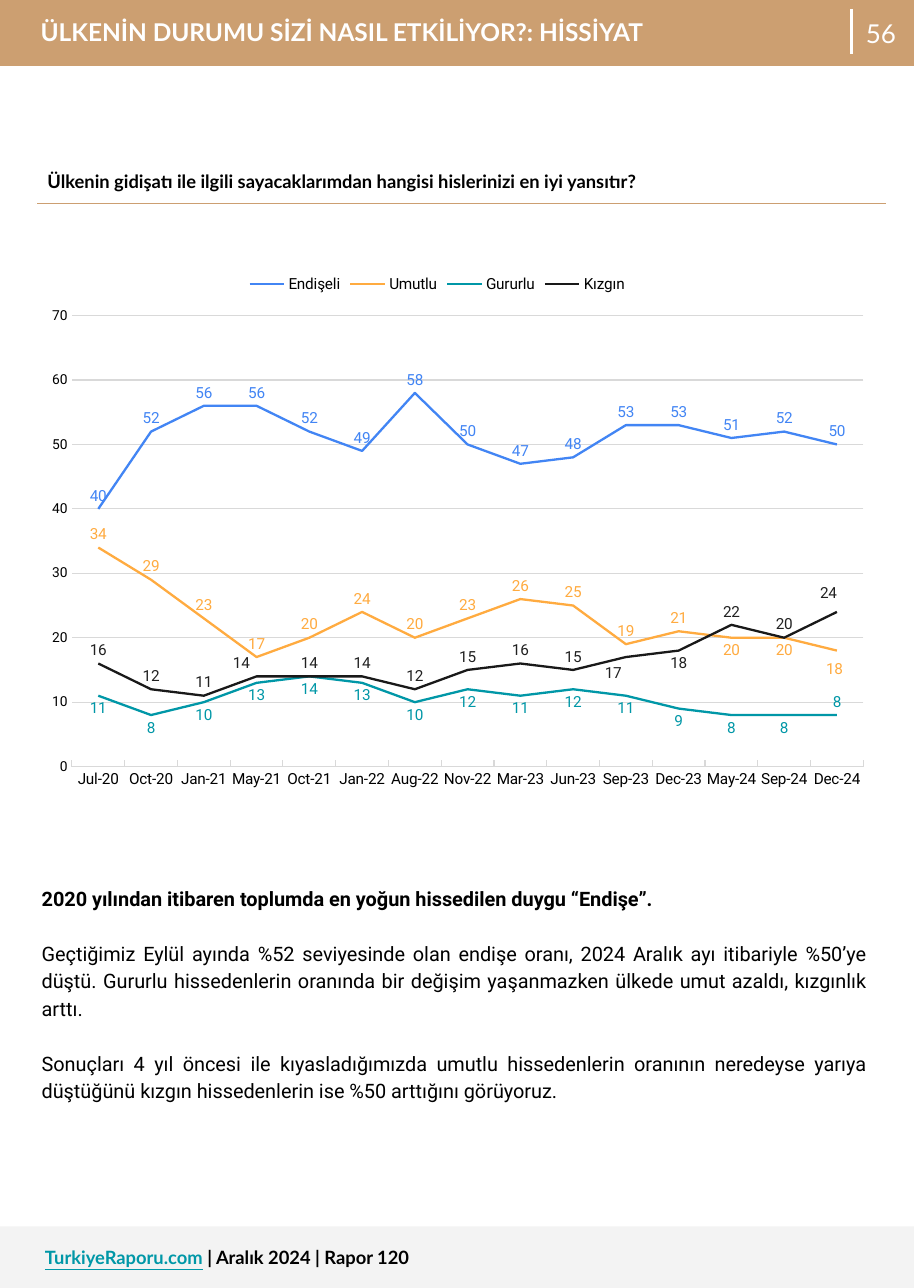
import pptx
import pptx.chart.data
import pptx.dml.color
import pptx.enum.chart
import pptx.enum.shapes
import pptx.enum.text
import pptx.oxml
import pptx.oxml.ns
import pptx.util
from pptx.util import Inches

HUES = {
    "sand": "CC9F71", "pale": "F3F3F3", "white": "FFFFFF", "black": "000000",
    "teal": "0097A7", "red": "EF3B45", "grid": "D9D9D9", "blue": "4285F4",
    "amber": "FFAB40", "coal": "191919", "ink": "212121",
}
ALIGN = pptx.enum.text.PP_ALIGN
SPOT = pptx.enum.chart.XL_LABEL_POSITION
TICK = pptx.enum.chart.XL_TICK_MARK

MONTHS = ["Jul-20", "Oct-20", "Jan-21", "May-21", "Oct-21", "Jan-22", "Aug-22", "Nov-22",
          "Mar-23", "Jun-23", "Sep-23", "Dec-23", "May-24", "Sep-24", "Dec-24"]
MOODS = [
    ("Endişeli", "blue", "blue", SPOT.ABOVE,
     [40, 52, 56, 56, 52, 49, 58, 50, 47, 48, 53, 53, 51, 52, 50], {}),
    ("Umutlu", "amber", "amber", SPOT.ABOVE,
     [34, 29, 23, 17, 20, 24, 20, 23, 26, 25, 19, 21, 20, 20, 18],
     {12: (SPOT.BELOW, 0, 0), 13: (SPOT.BELOW, 0, 0), 14: (SPOT.BELOW, -0.003, 0.01)}),
    ("Gururlu", "teal", "teal", SPOT.BELOW,
     [11, 8, 10, 13, 14, 13, 10, 12, 11, 12, 11, 9, 8, 8, 8],
     {14: (SPOT.ABOVE, 0, 0)}),
    ("Kızgın", "coal", "ink", SPOT.ABOVE,
     [16, 12, 11, 14, 14, 14, 12, 15, 16, 15, 17, 18, 22, 20, 24],
     {3: (SPOT.ABOVE, -0.018, 0), 10: (SPOT.BELOW, -0.015, 0.006),
      11: (SPOT.BELOW, 0, 0), 14: (SPOT.ABOVE, -0.01, -0.01)}),
]


def layout(x, y, w=None, h=None, inner=False, fixed=True):
    ns = pptx.oxml.ns.nsdecls("c")
    parts = '<c:layoutTarget val="inner"/>' if inner else ""
    if fixed:
        parts += '<c:xMode val="edge"/><c:yMode val="edge"/>'
    for tag, val in zip("xywh", (x, y, w, h)):
        if val is not None:
            parts += f'<c:{tag} val="{val}"/>'
    return pptx.oxml.parse_xml(f"<c:layout {ns}><c:manualLayout>{parts}</c:manualLayout></c:layout>")


def place(node, frame, after):
    for old in node.findall(pptx.oxml.ns.qn("c:layout")):
        node.remove(old)
    if after is None:
        node.insert(0, frame)
    else:
        node.find(pptx.oxml.ns.qn(after)).addnext(frame)


class Page:
    def __init__(self, slide, face="Lato"):
        self.slide = slide
        self.face = face

    def tint(self, name):
        return pptx.dml.color.RGBColor.from_string(HUES[name])

    def style(self, font, size, hue, bold=False, face=None):
        font.name = face or self.face
        font.size = pptx.util.Pt(size)
        font.bold = bold
        font.color.rgb = self.tint(hue)

    def stroke(self, line, hue, width):
        line.color.rgb = self.tint(hue)
        line.width = pptx.util.Pt(width)

    def band(self, top, height, hue):
        shape = self.slide.shapes.add_shape(
            pptx.enum.shapes.MSO_SHAPE.RECTANGLE, 0, Inches(top), Inches(8.3), Inches(height))
        shape.shadow.inherit = False
        shape.fill.solid()
        shape.fill.fore_color.rgb = self.tint(hue)
        shape.line.fill.background()

    def letter(self, para, runs, size, face=None):
        for text, hue, bold, under in runs:
            run = para.add_run()
            run.text = text
            self.style(run.font, size, hue, bold, face)
            run.font.underline = under

    def text(self, box, paras, size, face=None, align=ALIGN.LEFT, middle=False, lead=None, gap=0):
        frame = self.slide.shapes.add_textbox(*map(Inches, box)).text_frame
        frame.word_wrap = True
        frame.margin_left = frame.margin_right = Inches(0.1)
        frame.margin_top = frame.margin_bottom = Inches(0.1)
        if middle:
            frame.vertical_anchor = pptx.enum.text.MSO_ANCHOR.MIDDLE
        for i, runs in enumerate(paras):
            para = frame.add_paragraph() if i else frame.paragraphs[0]
            para.alignment = align
            if lead:
                para.line_spacing = lead
            if i:
                para.space_before = pptx.util.Pt(gap)
            self.letter(para, runs, size, face)

    def rule(self, x, top, end, hue, width):
        line = self.slide.shapes.add_connector(
            pptx.enum.shapes.MSO_CONNECTOR.STRAIGHT, Inches(x), Inches(top), Inches(x), Inches(end))
        self.stroke(line.line, hue, width)
        line._element.spPr.append(
            pptx.oxml.parse_xml(f'<a:effectLst {pptx.oxml.ns.nsdecls("a")}/>'))

    def table(self, box, text, size):
        table = self.slide.shapes.add_table(1, 1, *map(Inches, box)).table
        table.first_row = table.horz_banding = False
        cell = table.cell(0, 0)
        cell.margin_left = cell.margin_right = Inches(0.1)
        cell.margin_top = cell.margin_bottom = Inches(0.1)
        cell.fill.solid()
        cell.fill.fore_color.rgb = self.tint("white")
        self.letter(cell.text_frame.paragraphs[0], [(text, "black", True, False)], size)
        cell._tc.get_or_add_tcPr().insert(0, pptx.oxml.parse_xml(
            f'<a:lnB {pptx.oxml.ns.nsdecls("a")} w="12700"><a:solidFill>'
            f'<a:srgbClr val="{HUES["sand"]}"/></a:solidFill></a:lnB>'))

    def chart(self, box, months, moods, face):
        data = pptx.chart.data.CategoryChartData(number_format="0")
        data.categories = months
        for name, _, _, _, vals, _ in moods:
            data.add_series(name, vals)
        chart = self.slide.shapes.add_chart(
            pptx.enum.chart.XL_CHART_TYPE.LINE, *map(Inches, box), data).chart
        chart.has_title = False
        self.style(chart.font, 10, "black", face=face)
        chart.has_legend = True
        chart.legend.position = pptx.enum.chart.XL_LEGEND_POSITION.TOP
        chart.legend.include_in_layout = False
        self.style(chart.legend.font, 10, "black", face=face)
        place(chart.legend._element, layout(0.25, 0.035), "c:legendPos")
        plot = chart._chartSpace.chart.plotArea
        place(plot, layout(0.047, 0.113, 0.931, 0.788, inner=True), None)
        self.axes(chart, face)
        chart.plots[0].vary_by_categories = False
        for series, (_, hue, ink, spot, _, moved) in zip(chart.plots[0].series, moods):
            self.series(series, hue, ink, spot, moved, face)

    def axes(self, chart, face):
        months, scale = chart.category_axis, chart.value_axis
        months.major_tick_mark = TICK.INSIDE
        months.minor_tick_mark = scale.major_tick_mark = scale.minor_tick_mark = TICK.NONE
        self.style(months.tick_labels.font, 10, "black", face=face)
        self.style(scale.tick_labels.font, 9, "black", face=face)
        self.stroke(months.format.line, "grid", 0.75)
        self.stroke(scale.major_gridlines.format.line, "grid", 0.75)
        scale.format.line.fill.background()
        scale.minimum_scale, scale.maximum_scale, scale.major_unit = 0, 70, 10
        scale.tick_labels.number_format = "0"
        scale.tick_labels.number_format_is_linked = False

    def series(self, series, hue, ink, spot, moved, face):
        series.smooth = False
        series.marker.style = pptx.enum.chart.XL_MARKER_STYLE.NONE
        self.stroke(series.format.line, hue, 1.5)
        labels = series.data_labels
        labels.show_value = True
        labels.position = spot
        labels.number_format = "0"
        labels.number_format_is_linked = False
        self.style(labels.font, 10, ink, face=face)
        for i, (side, x, y) in moved.items():
            label = series.points[i].data_label
            self.style(label.font, 10, ink, face=face)
            label.position = side
            if x or y:
                node = next(d for d in labels._element.findall(pptx.oxml.ns.qn("c:dLbl"))
                            if d.idx_val == i)
                place(node, layout(x, y, fixed=False), "c:idx")


def main():
    deck = pptx.Presentation()
    deck.slide_width, deck.slide_height = Inches(8.3), Inches(11.7)
    page = Page(deck.slides.add_slide(deck.slide_layouts[6]))
    page.band(0, 0.6, "sand")
    page.band(11.14, 0.56, "pale")
    page.text((0.31, 11.22, 6.96, 0.4), [[
        ("TurkiyeRaporu.com", "teal", True, True), (" ", "red", True, False),
        ("| Aralık 2024 | Rapor 120", "black", True, False)]], 12)
    page.text((7.73, -0.15, 0.54, 0.9), [[("56", "white", False, False)]], 17,
              align=ALIGN.CENTER, middle=True)
    page.rule(7.73, 0.08, 0.49, "white", 2.25)
    page.text((0.27, 0.06, 7.46, 0.74), [[
        ("ÜLKENİN DURUMU SİZİ NASIL ETKİLİYOR?: HİSSİYAT", "white", True, False)]], 16)
    page.text((0.28, 7.92, 7.68, 2.2), [
        [("2020 yılından itibaren toplumda en yoğun hissedilen duygu “Endişe”.", "black", True, False)],
        [("Geçtiğimiz Eylül ayında %52 seviyesinde olan endişe oranı, 2024 Aralık ayı itibariyle "
          "%50’ye düştü. Gururlu hissedenlerin oranında bir değişim yaşanmazken ülkede umut azaldı, "
          "kızgınlık arttı.", "black", False, False)],
        [("Sonuçları 4 yıl öncesi ile kıyasladığımızda umutlu hissedenlerin oranının neredeyse yarıya "
          "düştüğünü kızgın hissedenlerin ise %50 arttığını görüyoruz.", "black", False, False)],
    ], 13, "Roboto", ALIGN.JUSTIFY, lead=1.15, gap=18)
    page.table((0.33, 1.45, 7.72, 0.4),
               "Ülkenin gidişatı ile ilgili sayacaklarımdan hangisi hislerinizi en iyi yansıtır?", 12)
    page.chart((0.29, 2.28, 7.72, 5.2), MONTHS, MOODS, "Roboto")
    deck.save("out.pptx")


if __name__ == "__main__":
    main()
